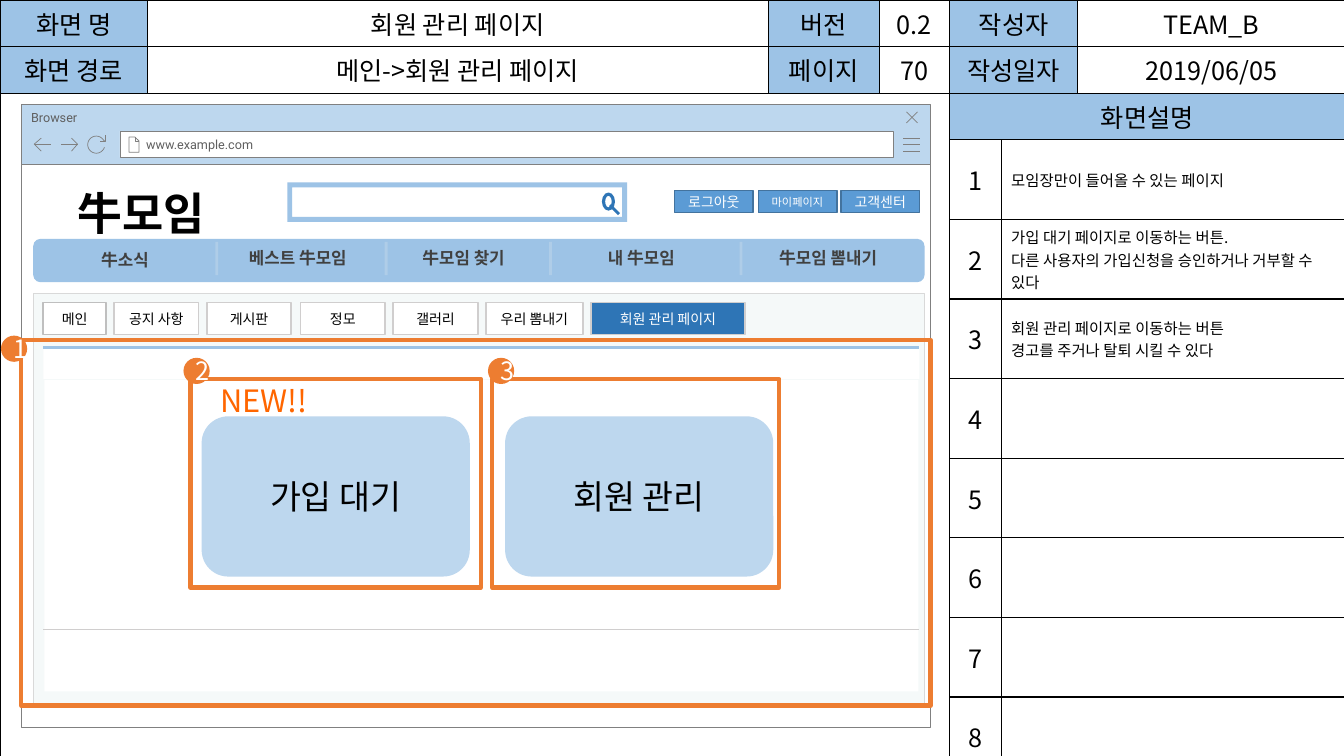
from dataclasses import dataclass
from math import cos, radians, sin
from typing import Optional

from lxml.etree import SubElement
from pptx import Presentation
from pptx.dml.color import RGBColor as RGB
from pptx.enum.shapes import MSO_CONNECTOR, MSO_SHAPE as Kind
from pptx.enum.text import MSO_ANCHOR as Anchor, PP_ALIGN as Align
from pptx.oxml.ns import qn
from pptx.util import Emu, Pt

SCALE = 9144  # EMU in one px, 100 px to the inch
SANS, ROBOTO = "Noto Sans CJK KR", "Roboto"
BLACK, WHITE = RGB(0, 0, 0), RGB(255, 255, 255)
GRAY, SLATE, DARK = RGB(0x80, 0x80, 0x80), RGB(0x5F, 0x5F, 0x5F), RGB(0x40, 0x40, 0x40)
MIST, PALE, SILVER = RGB(0xF5, 0xF9, 0xF9), RGB(0xD9, 0xD9, 0xD9), RGB(0xD0, 0xCE, 0xCE)
SNOW, ASH = RGB(0xF2, 0xF2, 0xF2), RGB(0xBF, 0xBF, 0xBF)
SKY, ICE, NAVY = RGB(0x9D, 0xC3, 0xE6), RGB(0xBD, 0xD7, 0xEE), RGB(0x2E, 0x75, 0xB6)
BLUE, STEEL = RGB(0x5B, 0x9B, 0xD5), RGB(0x43, 0x73, 0x9E)
AMBER, FLAME = RGB(0xED, 0x7D, 0x31), RGB(0xFF, 0x66, 0x00)

Box = tuple[int, int, int, int]
Path = list[tuple[float, float]]


@dataclass(frozen=True)
class Font:
    size: int
    color: RGB = BLACK
    bold: bool = False
    name: str = SANS
    align: Align = Align.CENTER


@dataclass(frozen=True)
class Pen:
    color: RGB
    width: float


@dataclass(frozen=True)
class Cell:
    row: int
    col: int
    text: str = ""
    rows: int = 1
    cols: int = 1
    head: bool = False
    note: bool = False


@dataclass(frozen=True)
class Tab:
    left: int
    width: int
    text: str
    fill: RGB = WHITE
    ink: RGB = BLACK
    edge: RGB = SILVER


THIN, RING = Pen(GRAY, 0.5), Pen(AMBER, 3)
WEB = Font(9, SLATE, name=ROBOTO, align=Align.LEFT)
HEAD, NOTE = Font(18), Font(11, align=Align.LEFT)

COLS = [146, 616, 110, 70, 51, 76, 265]
ROWS = [41] * 3 + [79] * 8
TOP = [
    ["화면 명", "회원 관리 페이지", "버전", "0.2", "작성자", "TEAM_B"],
    ["화면 경로", "메인->회원 관리 페이지", "페이지", "70", "작성일자", "2019/06/05"],
]
NOTES = [
    "모임장만이 들어올 수 있는 페이지",
    "가입 대기 페이지로 이동하는 버튼.\n다른 사용자의 가입신청을 승인하거나 거부할 수 있다",
    "회원 관리 페이지로 이동하는 버튼\n경고를 주거나 탈퇴 시킬 수 있다",
] + [""] * 5
TABS = [
    Tab(43, 62, "메인", edge=ASH),
    Tab(113, 84, "공지 사항"),
    Tab(205, 84, "게시판"),
    Tab(298, 84, "정모"),
    Tab(390, 84, "갤러리"),
    Tab(482, 96, "우리 뽐내기"),
    Tab(586, 153, "회원 관리 페이지", NAVY, WHITE),
]
MENU = [
    (237, 128, "베스트 牛모임"),
    (409, 112, "牛모임 찾기"),
    (593, 128, "내 牛모임"),
    (763, 128, "牛모임 뽐내기"),
]
ARC = [(95.5 + 8.5 * cos(radians(a)), 143.5 + 8.5 * sin(radians(a)))
       for a in range(18, 337, 12)]
ICONS: list[list[Path]] = [
    [[(896, y), (913, y)] for y in (150, 143, 137)],
    [[(910, 111), (899, 122)], [(899, 111), (910, 122)]],
    [[(134, 136), (134, 140), (138, 140)],
     [(128, 136), (128, 151), (138, 151), (138, 140), (134, 136), (128, 136)]],
    [[(41, 150), (34, 143), (41, 137)], [(35, 143), (51, 143)]],
    [[(71, 137), (77, 143), (71, 150)], [(77, 143), (61, 143)]],
    [[(104, 134), (104, 140), (99, 140)], ARC + [(104, 140)]],
]

deck = Presentation()
deck.slide_width, deck.slide_height = Emu(1333 * SCALE), Emu(750 * SCALE)
shapes = deck.slides.add_slide(deck.slide_layouts[6]).shapes


def px(*nums: float) -> list[Emu]:
    return [Emu(round(n * SCALE)) for n in nums]


def write(frame, text: str, font: Font) -> None:
    frame.text = text
    for para in frame.paragraphs:
        para.alignment = font.align
        face = para.font
        face.size, face.bold, face.name = Pt(font.size), font.bold, font.name
        face.color.rgb = font.color
        props = para._p.pPr.find(qn("a:defRPr"))
        SubElement(props, qn("a:ea")).set("typeface", font.name)


def style(shape, fill: Optional[RGB], pen: Optional[Pen]) -> None:
    shape.shadow.inherit = False
    if fill is None:
        shape.fill.background()
    else:
        shape.fill.solid()
        shape.fill.fore_color.rgb = fill
    if pen is None:
        shape.line.fill.background()
    else:
        shape.line.color.rgb, shape.line.width = pen.color, Pt(pen.width)


def block(box: Box, fill: Optional[RGB] = None, pen: Optional[Pen] = None, text: str = "",
          font: Font = HEAD, kind: Kind = Kind.RECTANGLE, adj: Optional[float] = None):
    shape = shapes.add_shape(kind, *px(*box))
    style(shape, fill, pen)
    if adj is not None:
        shape.adjustments[0] = adj
    if text:
        write(shape.text_frame, text, font)
        shape.text_frame.vertical_anchor = Anchor.MIDDLE
    return shape


def label(box: Box, text: str, font: Font) -> None:
    frame = shapes.add_textbox(*px(*box)).text_frame
    frame.word_wrap = True
    write(frame, text, font)


def rule(ends: Box, pen: Pen, alpha: int = 100) -> None:
    """Draw a straight line; alpha is its opacity in percent."""
    line = shapes.add_connector(MSO_CONNECTOR.STRAIGHT, *px(*ends))
    line.line.color.rgb, line.line.width = pen.color, Pt(pen.width)
    props = line._element.spPr
    SubElement(props, qn("a:effectLst"))
    if alpha < 100:
        SubElement(next(props.iter(qn("a:srgbClr"))), qn("a:alpha")).set("val", str(alpha * 1000))


def icon(paths: list[Path]) -> None:
    pen = shapes.build_freeform(*px(*paths[0][0]), scale=1.0)
    for num, path in enumerate(paths):
        if num:
            pen.move_to(*px(*path[0]))
        pen.add_line_segments([px(*dot) for dot in path[1:]], close=False)
    style(pen.convert_to_shape(), None, THIN)


def edge(cell) -> None:
    """Put a black one-point border on all four sides."""
    props = cell._tc.get_or_add_tcPr()
    for side in "LRTB":
        line = SubElement(props, qn(f"a:ln{side}"), w="12700")
        SubElement(SubElement(line, qn("a:solidFill")), qn("a:srgbClr")).set("val", str(BLACK))


def sheet() -> None:
    cells = [Cell(r, c + (c == 5), text, cols=2 if c == 4 else 1, head=c % 2 == 0)
             for r, line in enumerate(TOP) for c, text in enumerate(line)]
    cells += [Cell(2, 0, rows=9, cols=4), Cell(2, 4, "화면설명", cols=3, head=True)]
    for num, text in enumerate(NOTES, 1):
        cells += [Cell(num + 2, 4, str(num)), Cell(num + 2, 5, text, cols=2, note=True)]
    grid = shapes.add_table(len(ROWS), len(COLS), *px(0, 0, sum(COLS), sum(ROWS))).table
    grid.first_row = grid.horz_banding = False
    for col, size in zip(grid.columns, px(*COLS)):
        col.width = size
    for row, size in zip(grid.rows, px(*ROWS)):
        row.height = size
    for cell in grid.iter_cells():
        edge(cell)
        cell.fill.background()
    for item in cells:
        cell = grid.cell(item.row, item.col)
        if item.rows * item.cols > 1:
            cell.merge(grid.cell(item.row + item.rows - 1, item.col + item.cols - 1))
        if item.head:
            cell.fill.solid()
            cell.fill.fore_color.rgb = SKY
        cell.vertical_anchor = Anchor.MIDDLE
        if item.text:
            write(cell.text_frame, item.text, NOTE if item.note else HEAD)


def browser() -> None:
    block((21, 162, 902, 560), WHITE, THIN)
    bar = block((21, 104, 902, 59), ICE, THIN, "Browser", WEB)
    bar.text_frame.vertical_anchor = Anchor.TOP
    site = block((119, 130, 767, 26), WHITE, THIN, "www.example.com", WEB)
    site.text_frame.margin_left = px(26)[0]
    for paths in ICONS:
        icon(paths)


def page() -> None:
    block((285, 181, 337, 39), SKY, kind=Kind.FRAME, adj=0.125)
    block((601, 202, 17, 12), NAVY, kind=Kind.MATH_MINUS, adj=0.235).rotation = 45
    block((597, 191, 13, 18), NAVY, kind=Kind.DONUT, adj=0.25)
    label((67, 179, 156, 64), "牛모임", Font(32, bold=True, align=Align.LEFT))
    block((33, 291, 884, 409), MIST, Pen(PALE, 0.5))
    block((44, 377, 867, 309), WHITE)
    block((43, 345, 869, 31), WHITE)
    rule((43, 345, 912, 345), Pen(SKY, 2))
    rule((43, 624, 911, 624), Pen(SILVER, 0.5))
    for left, text in ((200, "가입 대기"), (501, "회원 관리")):
        block((left, 413, 266, 159), ICE, None, text, Font(24), Kind.ROUNDED_RECTANGLE)
    label((209, 374, 180, 47), "NEW!!", Font(22, FLAME, align=Align.LEFT))
    marks = [((21, 337, 902, 363), 1, 333), ((189, 376, 288, 207), 182, 355),
             ((488, 376, 285, 207), 484, 355)]
    for num, (box, left, top) in enumerate(marks, 1):
        block(box, None, RING)
        block((left, top, 26, 26), AMBER, None, str(num), Font(18, WHITE), Kind.OVAL)
    for tab in TABS:
        block((tab.left, 300, tab.width, 32), tab.fill, Pen(tab.edge, 1.25),
              tab.text, Font(10, tab.ink))


def menu() -> None:
    block((33, 237, 884, 43), SKY, kind=Kind.ROUNDED_RECTANGLE)
    label((33, 243, 182, 30), "牛소식", Font(12, DARK, True))
    for left, width, text in MENU:
        label((left, 241, width, 30), text, Font(12, DARK, True, align=Align.LEFT))
    for x in (215, 383, 546, 735):
        rule((x, 240, x, 273), Pen(SNOW, 2), 22)
    for left, text, size in ((669, "로그아웃", 10), (752, "마이페이지", 8), (834, "고객센터", 10)):
        block((left, 189, 78, 22), BLUE, Pen(STEEL, 1), text, Font(size, WHITE))


browser()
sheet()
page()
menu()
deck.save("out.pptx")
